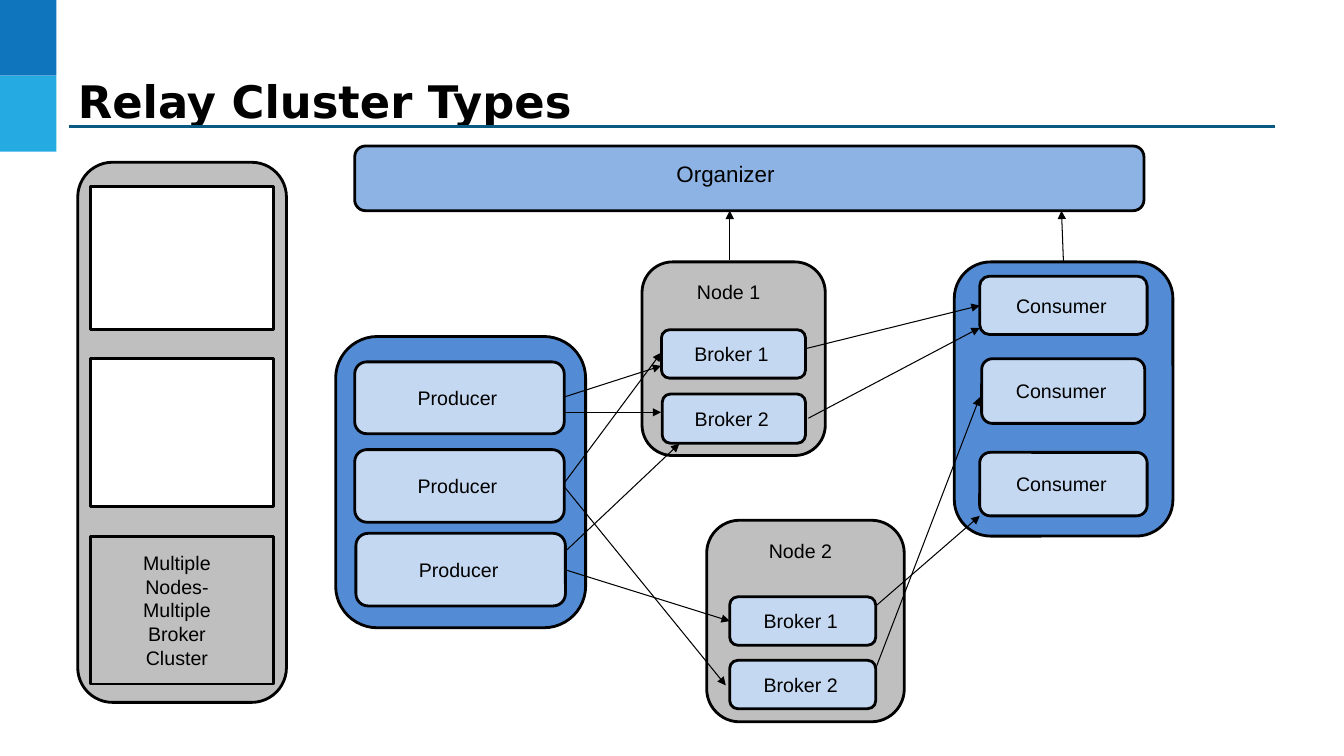
"""Builds a slide on cluster types with producers, broker nodes and consumers."""
from lxml.etree import SubElement
from pptx import Presentation
from pptx.dml.color import RGBColor
from pptx.enum.shapes import MSO_CONNECTOR, MSO_SHAPE
from pptx.enum.text import MSO_ANCHOR, MSO_AUTO_SIZE, PP_ALIGN
from pptx.oxml.ns import qn
from pptx.util import Cm, Pt

COLORS = {
    "black": "000000", "white": "FFFFFF", "gray": "BFBFBF",
    "navy": "0F75BD", "cyan": "25AAE2", "rule": "095A82",
    "sky": "8CB3E3", "blue": "538CD5", "pale": "C5D8F1",
}
TITLE = "Relay Cluster Types"
STRIPS = ["navy", "cyan"]
SIDE = (1.96, 4.09, 5.26, 13.61)
CARDS = [
    ("", 4.7, 3.61, "white"),
    ("", 9.04, 3.73, "white"),
    ("Multiple Nodes-Multiple Broker Cluster", 13.51, 3.73, "gray"),
]
KEEPER = ("Organizer", (8.94, 3.68, 19.89, 1.63))
GROUPS = [
    ("", "blue", (8.46, 8.48, 6.3, 7.34), [
        ("Producer", (8.94, 9.12, 5.28, 1.81)),
        ("Producer", (8.94, 11.33, 5.28, 1.83)),
        ("Producer", (8.97, 13.44, 5.28, 1.83))]),
    ("Node 1", "gray", (16.18, 6.6, 4.62, 4.88), [
        ("Broker 1", (16.67, 8.31, 3.63, 1.22)),
        ("Broker 2", (16.69, 9.93, 3.61, 1.24))]),
    ("Node 2", "gray", (17.81, 13.11, 4.98, 5.08), [
        ("Broker 1", (18.39, 15.04, 3.68, 1.22)),
        ("Broker 2", (18.39, 16.64, 3.68, 1.22))]),
    ("", "blue", (24.05, 6.6, 5.51, 6.91), [
        ("Consumer", (24.69, 6.96, 4.22, 1.47)),
        ("Consumer", (24.74, 9.04, 4.11, 1.63)),
        ("Consumer", (24.69, 11.4, 4.22, 1.6))]),
]
ARROWS = [
    (14.2, 10.01, 16.66, 9.22), (14.2, 10.39, 16.66, 10.39),
    (14.22, 12.17, 16.66, 8.89), (14.2, 12.24, 18.29, 17.27),
    (14.25, 13.89, 17.12, 11.18), (14.22, 14.35, 18.39, 15.65),
    (20.29, 8.79, 24.69, 7.7), (20.37, 10.54, 24.69, 8.26),
    (22.07, 15.27, 24.69, 13), (22.07, 16.84, 24.69, 10.01),
    (18.39, 6.55, 18.39, 5.31), (26.8, 6.6, 26.75, 5.31),
]


def paint(name):
    return RGBColor.from_string(COLORS[name])


def write(frame, text, size, font, pad, align, anchor):
    frame.text = text
    frame.word_wrap = True
    frame.auto_size = MSO_AUTO_SIZE.NONE
    frame.vertical_anchor = anchor
    (frame.margin_left, frame.margin_top,
     frame.margin_right, frame.margin_bottom) = map(Cm, pad)
    para = frame.paragraphs[0]
    para.alignment = align
    for run in para.runs:
        run.font.size = Pt(size)
        run.font.name = font
        run.font.color.rgb = paint("black")
    return para


def add_box(slide, kind, area, fill, text="", size=14, edge=True,
            pad=(0.1, 0, 0.2, 0), anchor=MSO_ANCHOR.MIDDLE):
    box = slide.shapes.add_shape(kind, *map(Cm, area))
    box.shadow.inherit = False
    box.fill.solid()
    box.fill.fore_color.rgb = paint(fill)
    if edge:
        box.line.color.rgb = paint("black")
        box.line.width = Pt(2)
    else:
        box.line.fill.background()
    if text:
        write(box.text_frame, text, size, "Arial", pad, PP_ALIGN.CENTER, anchor)


def add_line(slide, ends, color, width, arrow=False):
    line = slide.shapes.add_connector(MSO_CONNECTOR.STRAIGHT, *map(Cm, ends))
    line.line.color.rgb = paint(color)
    line.line.width = Pt(width)
    if arrow:
        SubElement(line.line._get_or_add_ln(), qn("a:tailEnd"), type="triangle")
    SubElement(line._element.spPr, qn("a:effectLst"))


def main():
    deck = Presentation()
    deck.slide_width, deck.slide_height = Cm(33.87), Cm(19.05)
    slide = deck.slides.add_slide(deck.slide_layouts[5])
    rect, round_box = MSO_SHAPE.RECTANGLE, MSO_SHAPE.ROUNDED_RECTANGLE

    for row, color in enumerate(STRIPS):
        add_box(slide, rect, (0, row * 1.91, 1.42, 1.91), color, edge=False)
    add_line(slide, (1.73, 3.18, 32.13, 3.18), "rule", 2.25)

    title = slide.shapes.title
    title.left, title.top, title.width, title.height = map(
        Cm, (1.63, 0.84, 27.58, 2.31))
    para = write(title.text_frame, TITLE, 32, "DejaVu Sans", [0.33] * 4,
                 PP_ALIGN.LEFT, MSO_ANCHOR.TOP)
    para.line_spacing = 1.5
    para.runs[0].font.bold = True

    add_box(slide, round_box, SIDE, "gray")
    for text, top, height, fill in CARDS:
        add_box(slide, rect, (2.29, top, 4.6, height), fill, text,
                pad=(0.6, 0, 0.86, 0))

    text, area = KEEPER
    add_box(slide, round_box, area, "sky", text, 16, pad=(0, 0, 1.2, 0.25))
    for text, fill, area, parts in GROUPS:
        add_box(slide, round_box, area, fill, text, pad=(0, 0.22, 0.25, 0),
                anchor=MSO_ANCHOR.TOP)
        for label, spot in parts:
            add_box(slide, round_box, spot, "pale", label)
    for ends in ARROWS:
        add_line(slide, ends, "black", 0.75, arrow=True)
    deck.save("out.pptx")


if __name__ == "__main__":
    main()
